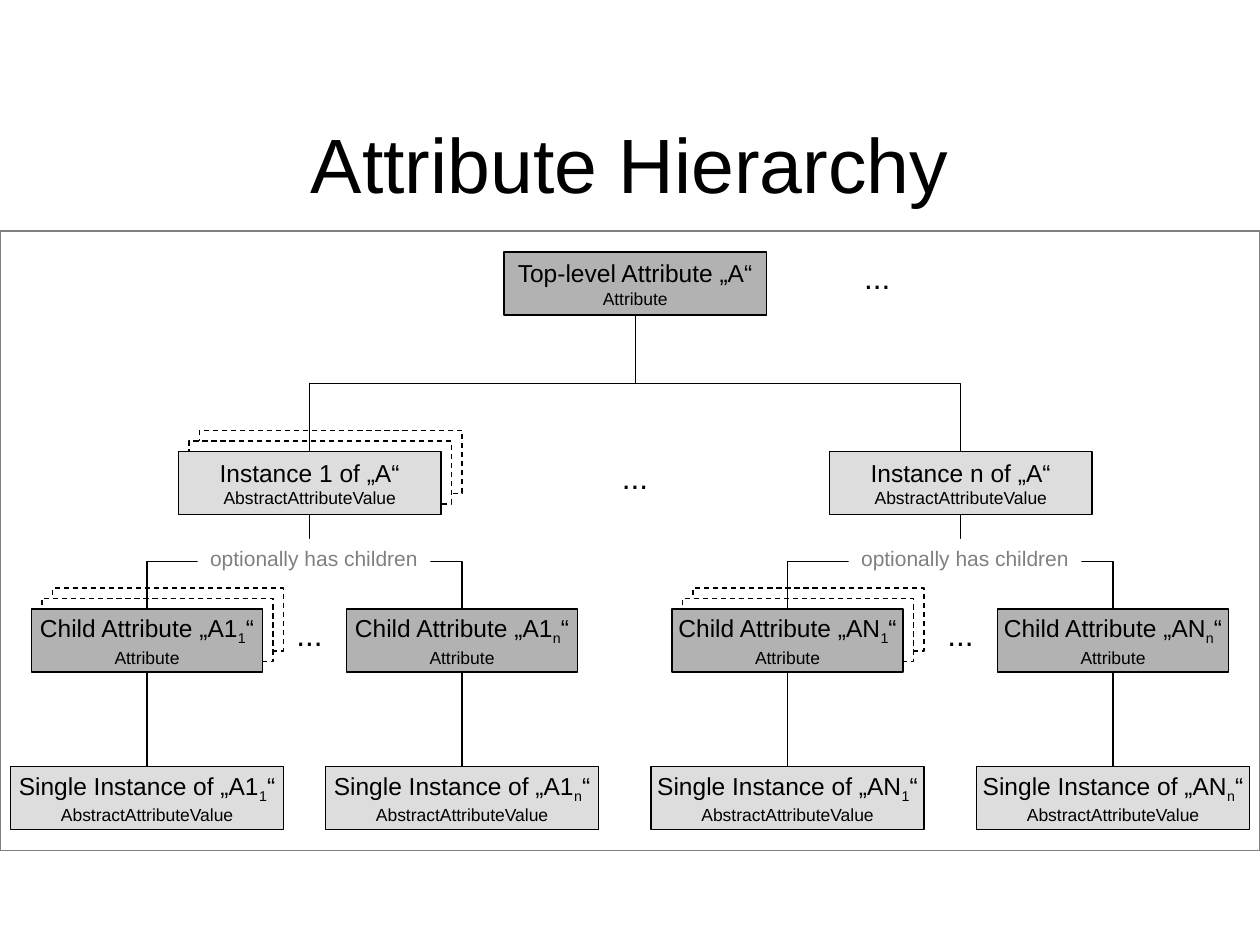
from lxml import etree
from pptx import Presentation
from pptx.dml.color import RGBColor
from pptx.enum import dml, shapes, text
from pptx.oxml import ns
from pptx.util import Pt

FONT = "Arial"
BLACK, GRAY, WHITE = "000000", "808080", "FFFFFF"
ATTRIBUTE_FILL, VALUE_FILL = "B2B2B2", "DDDDDD"
BOX_HEIGHT = 36
STACK_STEP = 6


def color(value):
    return RGBColor.from_string(value)


def write_text(frame, lines, fill=BLACK, align=None, anchor=None, wrap=False,
               soft_break=False, grow=False):
    frame.word_wrap = wrap
    frame.vertical_anchor = anchor
    frame.auto_size = text.MSO_AUTO_SIZE.SHAPE_TO_FIT_TEXT if grow else text.MSO_AUTO_SIZE.NONE
    paragraph = frame.paragraphs[0]
    for line_index, (content, size) in enumerate(lines):
        if line_index and soft_break:
            paragraph.add_line_break()
        elif line_index:
            paragraph = frame.add_paragraph()
        paragraph.alignment = align
        for part_index, part in enumerate(content.split("_")):
            run = paragraph.add_run()
            run.text = part
            run.font.name = FONT
            run.font.size = Pt(size)
            run.font.color.rgb = color(fill)
            if part_index % 2:
                run.font._element.set("baseline", "-25000")


def add_rectangle(slide, left, top, width, height, fill=None, line=None, dashed=False):
    shape = slide.shapes.add_shape(shapes.MSO_SHAPE.RECTANGLE,
                                   Pt(left), Pt(top), Pt(width), Pt(height))
    shape.shadow.inherit = False
    if fill:
        shape.fill.solid()
        shape.fill.fore_color.rgb = color(fill)
    else:
        shape.fill.background()
    if line:
        shape.line.color.rgb = color(line)
        shape.line.width = Pt(0.75)
        if dashed:
            shape.line.dash_style = dml.MSO_LINE.DASH
    else:
        shape.line.fill.background()
    return shape


def add_box(slide, left, top, width, heading, type_name, stacked=False):
    if stacked:
        for step in (2 * STACK_STEP, STACK_STEP):
            add_rectangle(slide, left + step, top - step, width, BOX_HEIGHT,
                          WHITE, BLACK, dashed=True)
    is_attribute = type_name == "Attribute"
    fill = ATTRIBUTE_FILL if is_attribute else VALUE_FILL
    box = add_rectangle(slide, left, top, width, BOX_HEIGHT, fill, BLACK)
    write_text(box.text_frame, [(heading, 14), (type_name, 10)],
               align=text.PP_ALIGN.CENTER, anchor=text.MSO_ANCHOR.MIDDLE,
               soft_break=is_attribute)
    return box


def add_ellipsis(slide, center, top):
    width = 29.5
    box = slide.shapes.add_textbox(Pt(center - width / 2), Pt(top), Pt(width), Pt(29))
    write_text(box.text_frame, [("...", 18)], grow=True)


def join(slide, parent, child, kind):
    connector = slide.shapes.add_connector(kind, 0, 0, 0, 0)
    connector.begin_connect(parent, 2)
    connector.end_connect(child, 0)
    connector.line.color.rgb = color(BLACK)
    connector.line.width = Pt(0.75)
    etree.SubElement(connector._element.spPr, ns.qn("a:effectLst"))
    return connector


def add_branch(slide, parent, child):
    connector = join(slide, parent, child, shapes.MSO_CONNECTOR.ELBOW)
    start_x, end_x = connector.begin_x, connector.end_x
    start_y, end_y = connector.begin_y, connector.end_y
    drop, spread = end_y - start_y, abs(end_x - start_x)
    connector.left = (start_x + end_x - drop) // 2
    connector.top = (start_y + end_y - spread) // 2
    connector.width, connector.height = drop, spread
    rightward = end_x > start_x
    frame = connector._element.spPr.find(ns.qn("a:xfrm"))
    frame.set("rot", str((270 if rightward else 90) * 60000))
    frame.set("flipH", "1" if rightward else "0")


def add_title(slide, left, top, width, height):
    title = slide.shapes.title
    title.left, title.top, title.width, title.height = map(Pt, (left, top, width, height))
    write_text(title.text_frame, [("Attribute Hierarchy", 44)], wrap=True,
               align=text.PP_ALIGN.CENTER, anchor=text.MSO_ANCHOR.MIDDLE)


def add_subtree(slide, root, left, top, instance_left, child_offsets, index, name, stacked):
    instance = add_box(slide, instance_left, top, 150, f"Instance {index} of „A“",
                       "AbstractAttributeValue", stacked)
    add_branch(slide, root, instance)
    for child_index, offset in zip("1n", child_offsets):
        suffix = f"„{name}_{child_index}_“"
        child = add_box(slide, left + offset, top + 90, 132, f"Child Attribute {suffix}",
                        "Attribute", stacked=child_index == "1")
        add_branch(slide, instance, child)
        value = add_box(slide, left + offset - 12, top + 180, 156,
                        f"Single Instance of {suffix}", "AbstractAttributeValue")
        join(slide, child, value, shapes.MSO_CONNECTOR.STRAIGHT)
    add_ellipsis(slide, instance_left + 75, top + 90)
    label = add_rectangle(slide, instance_left + 11, top + 50, 133, 21.6, WHITE)
    write_text(label.text_frame, [("optionally has children", 12)], fill=GRAY,
               align=text.PP_ALIGN.LEFT, anchor=text.MSO_ANCHOR.TOP, grow=True)


def add_hierarchy(slide, left, top, width, height):
    add_rectangle(slide, left, top, width, height, line=GRAY)
    root = add_box(slide, left + 288, top + 12, 150, "Top-level Attribute „A“", "Attribute")
    add_ellipsis(slide, left + 501.5, top + 12)
    add_ellipsis(slide, left + 363, top + 126)
    add_subtree(slide, root, left + 18, top + 126, left + 102, (0, 180), "1", "A1", True)
    add_subtree(slide, root, left + 384, top + 126, left + 474, (0, 186), "n", "AN", False)


def main():
    presentation = Presentation()
    presentation.slide_width, presentation.slide_height = Pt(720), Pt(540)
    slide = presentation.slides.add_slide(presentation.slide_layouts[5])
    add_title(slide, 54, 48, 612, 90)
    add_hierarchy(slide, 0, 132, 720, 354)
    presentation.save("out.pptx")


if __name__ == "__main__":
    main()
